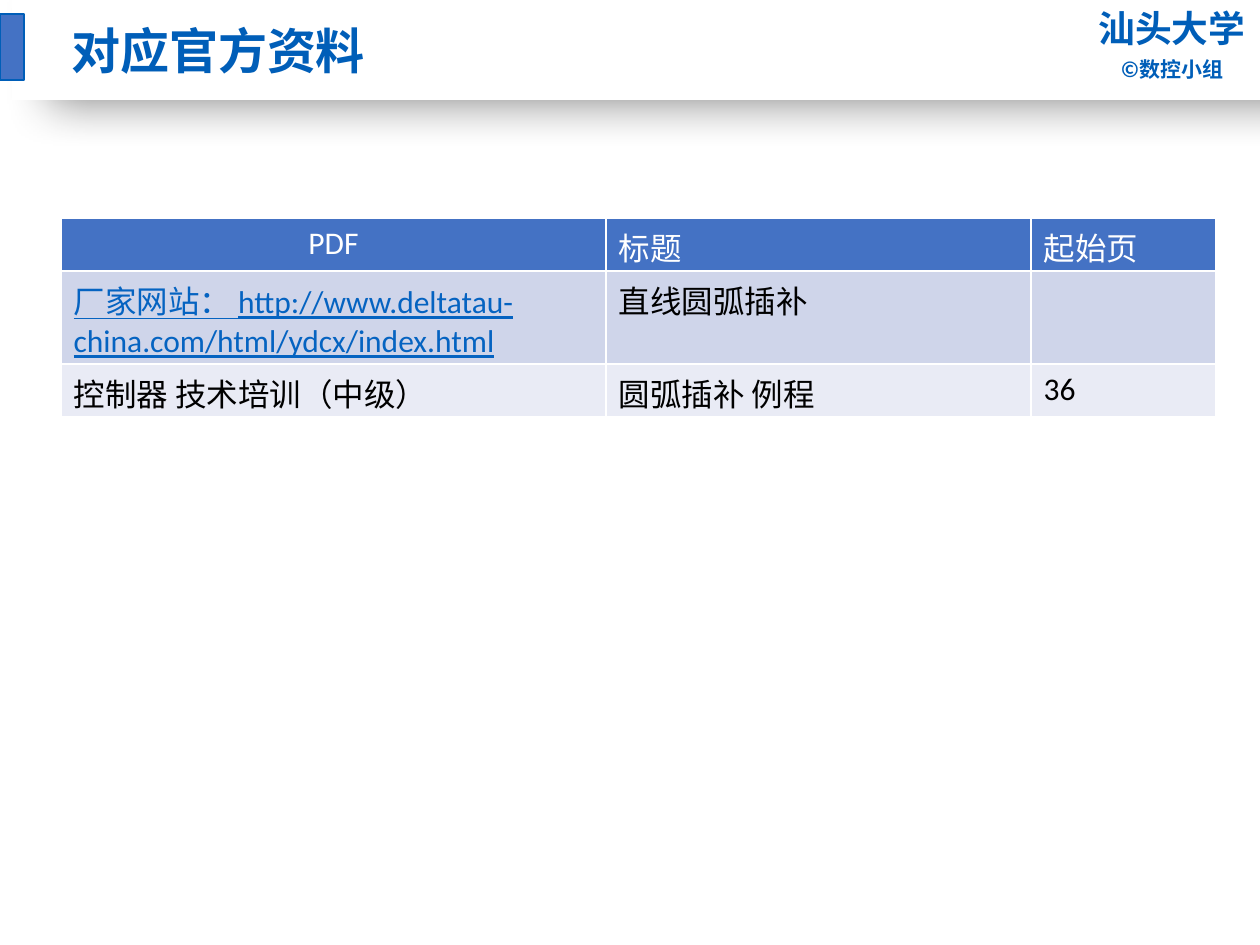
from lxml.etree import SubElement
from pptx import Presentation
from pptx.dml.color import RGBColor
from pptx.enum.shapes import MSO_SHAPE as Shape
from pptx.enum.text import MSO_ANCHOR as Anchor, PP_ALIGN as Align
from pptx.oxml.ns import qn
from pptx.util import Emu, Pt

PX = 914400 // 126
COLORS = {
    "white": "FFFFFF", "black": "000000", "brand": "005EB8", "accent": "4472C4",
    "link": "0563C1", "odd": "CFD5EA", "even": "E9EBF5",
}
CJK = "Noto Sans CJK SC"
LATIN = "Calibri"


def px(value):
    return Emu(value * PX)


def color(name):
    return RGBColor.from_string(COLORS[name])


def style(para, size, tint, font, bold=False, underline=False):
    face = para.font
    face.size, face.bold, face.underline = Pt(size), bold, underline
    face.color.rgb = color(tint)
    face.name = font
    # East Asian typeface follows the Latin one
    latin = para._p.pPr.find(qn("a:defRPr")).find(qn("a:latin"))
    east = SubElement(latin.getparent(), qn("a:ea"), typeface=CJK)
    latin.addnext(east)


def add_rect(page, left, top, width, height, fill, line=None):
    rect = page.shapes.add_shape(
        Shape.RECTANGLE, px(left), px(top), px(width), px(height))
    rect.shadow.inherit = False
    rect.fill.solid()
    rect.fill.fore_color.rgb = color(fill)
    if line:
        rect.line.color.rgb = color(line)
        rect.line.width = Pt(1)
    else:
        rect.line.fill.background()
    return rect


def add_shadow(shape, blur, distance, degrees, opacity):
    effects = shape._element.spPr.find(qn("a:effectLst"))
    shadow = SubElement(
        effects, qn("a:outerShdw"), blurRad=str(Pt(blur)), dist=str(Pt(distance)),
        dir=str(degrees * 60000), algn="tl", rotWithShape="0")
    tint = SubElement(shadow, qn("a:srgbClr"), val=COLORS["black"])
    SubElement(tint, qn("a:alpha"), val=str(opacity * 1000))


def add_label(page, left, top, width, height, text, size, anchor=Anchor.TOP):
    box = page.shapes.add_textbox(px(left), px(top), px(width), px(height))
    frame = box.text_frame
    frame.word_wrap = True
    frame.vertical_anchor = anchor
    para = frame.paragraphs[0]
    para.text = text
    style(para, size, "brand", CJK, bold=True)


def add_header(page, left, top, width, height):
    # White band with its shadow, and the marker at the edge
    band = add_rect(page, left + 12, top, width - 5, height, "white")
    add_shadow(band, blur=27, distance=21, degrees=3, opacity=45)
    add_rect(page, left, top + 14, 24, 66, "accent", "brand")
    # Owner at the right, title at the left
    add_label(page, left + 1086, top, 192, 67, "汕头大学", 21)
    add_label(page, left + 1109, top + 50, 213, 44, "©数控小组", 12)
    add_label(page, left + 59, top + 14, 832, 72, "对应官方资料", 28, Anchor.MIDDLE)


def add_sources(page, left, top, columns, rows, content):
    frame = page.shapes.add_table(
        len(rows), len(columns), px(left), px(top), px(sum(columns)), px(sum(rows)))
    table = frame.table
    for column, width in zip(table.columns, columns):
        column.width = px(width)
    fills = ("accent", "odd", "even")
    for r, (height, texts) in enumerate(zip(rows, content)):
        table.rows[r].height = px(height)
        for c, text in enumerate(texts):
            cell = table.cell(r, c)
            cell.fill.solid()
            cell.fill.fore_color.rgb = color(fills[r])
            para = cell.text_frame.paragraphs[0]
            para.text = text
            is_link = "http" in text
            tint = "white" if r == 0 else "link" if is_link else "black"
            style(para, 18, tint, LATIN, underline=is_link)
    table.cell(0, 0).text_frame.paragraphs[0].alignment = Align.CENTER


def main():
    deck = Presentation()
    deck.slide_width, deck.slide_height = px(1260), px(945)
    page = deck.slides.add_slide(deck.slide_layouts[6])
    add_header(page, 0, 0, 1260, 100)
    add_sources(page, 61, 218, (545, 425, 185), (53, 93, 53), (
        ("PDF", "标题", "起始页"),
        ("厂家网站： http://www.deltatau-china.com/html/ydcx/index.html",
         "直线圆弧插补", ""),
        ("控制器 技术培训（中级）", "圆弧插补 例程", "36"),
    ))
    deck.save("out.pptx")


if __name__ == "__main__":
    main()
